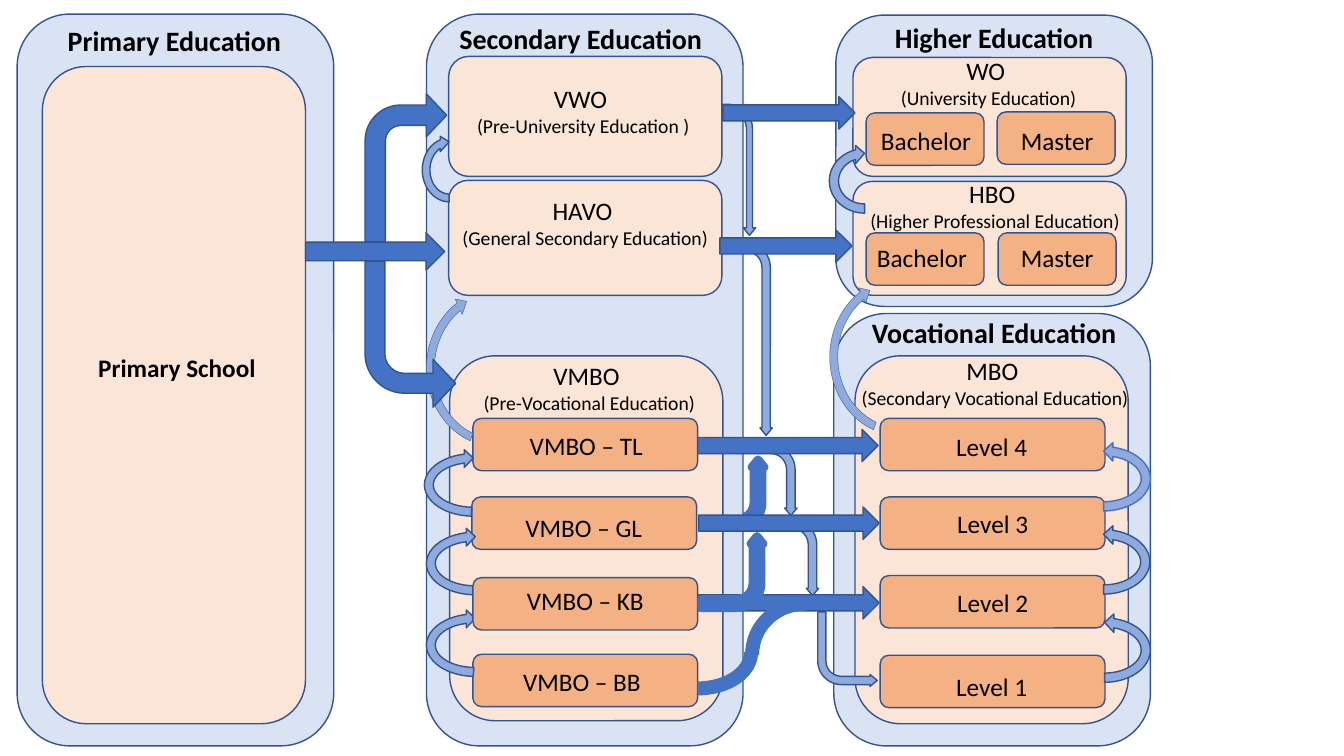
from dataclasses import dataclass
from typing import Iterable, Optional

from pptx import Presentation
from pptx.dml.color import RGBColor
from pptx.enum.shapes import MSO_SHAPE as Shp
from pptx.enum.text import MSO_AUTO_SIZE as AutoSize, PP_ALIGN as Align
from pptx.util import Emu, Pt

PX = 9144
FONT = "Calibri"
PANEL, CARD, UNIT = "DAE3F3", "FBE5D6", "F4B183"
MAIN, SWITCH, OUTLINE = "4472C4", "8FAADC", "325491"
BENT_ADJ = (0.138, 0.101, 0.122, 0.398)
LOOP_ADJ = (0.125, 11.423, 204.577, 110.305, 0.125)
SWEEP_ADJ = (0.054, 4.492, 197, 119.9, 0.057)


@dataclass(frozen=True)
class Block:
    """A filled preset shape, in px."""
    x: int
    y: int
    w: int
    h: int
    fill: Optional[str]
    shape: Shp = Shp.ROUNDED_RECTANGLE
    rot: int = 0
    flip: str = ""
    adj: tuple[float, ...] = ()
    line: str = OUTLINE
    weight: float = 1


@dataclass(frozen=True)
class Label:
    """A centred text box, in px, with smaller lines after the first."""
    text: str
    x: int
    y: int
    w: int
    size: int = 18
    bold: bool = False


def rgb(value: str) -> RGBColor:
    """Turn a hex string into a colour."""
    return RGBColor.from_string(value)


def px(*values: int) -> list[Emu]:
    """Turn px into EMU."""
    return [Emu(v * PX) for v in values]


def unit(x: int, y: int, w: int = 223) -> Block:
    """Describe an orange box for a level or degree."""
    return Block(x, y, w, 52, UNIT)


def straight(x: int, y: int, w: int, h: int = 32) -> Block:
    """Describe a main route to the right."""
    return Block(x, y, w, h, MAIN, Shp.RIGHT_ARROW)


def fork(y: int, w: int, h: int, flip: str, stem: float) -> Block:
    """Describe a branch of the route out of primary school."""
    return Block(362, y, w, h, MAIN, Shp.BENT_ARROW, 180, flip, (stem, 0.264, 0.25, 0.438))


def bent(x: int, y: int, w: int, h: int = 61, rot: int = 90, flip: str = "",
         stem: float = 0.138) -> Block:
    """Describe a thin bent arrow to a lower school."""
    return Block(x, y, w, h, SWITCH, Shp.BENT_ARROW, rot, flip, (stem, *BENT_ADJ[1:]))


def rise(x: int, y: int, w: int) -> Block:
    """Describe a thick arrow up to the next route."""
    return Block(x, y, w, 61, SWITCH, Shp.BENT_ARROW, 90, "h", BENT_ADJ, MAIN, 6)


def loop(x: int, y: int, w: int, h: int, flip: str = "",
         adj: tuple[float, ...] = (), line: str = OUTLINE, weight: float = 1) -> Block:
    """Describe a curved arrow up to the next level."""
    return Block(x, y, w, h, SWITCH, Shp.CIRCULAR_ARROW, 270, flip, adj, line, weight)


def arc(x: int, y: int, w: int, h: int, flip: str) -> Block:
    """Describe one half of the S-shaped route."""
    return Block(x, y, w, h, None, Shp.ARC, flip=flip, line=MAIN, weight=10)


def heading(text: str, x: int, y: int, w: int = 314) -> Label:
    """Describe the heading of a panel."""
    return Label(text, x, y, w, 20, True)


BLOCKS = [
    rise(694, 459, 67),
    Block(423, 14, 314, 726, PANEL),
    bent(725, 446, 70),
    bent(744, 523, 75),
    bent(654, 138, 130, stem=0.098),
    bent(640, 306, 191, stem=0.136),
    Block(827, 311, 314, 429, PANEL),
    Block(829, 15, 314, 289, PANEL),
    Block(17, 14, 314, 726, PANEL),
    Block(42, 66, 261, 652, CARD),
    Block(445, 56, 271, 119, CARD),
    Block(445, 179, 271, 114, CARD),
    Block(446, 353, 271, 362, CARD),
    Block(848, 353, 271, 365, CARD),
    Block(846, 180, 271, 113, CARD),
    Block(846, 57, 271, 118, CARD),
    *(unit(873, y) for y in (415, 493, 571, 650)),
    unit(469, 415),
    unit(468, 493),
    unit(469, 649),
    unit(859, 112, 117),
    unit(989, 111, 117),
    unit(859, 231, 117),
    unit(990, 231, 117),
    straight(717, 96, 131),
    loop(436, 587, 71, 106, adj=LOOP_ADJ),
    loop(1058, 424, 73, 102, "v", line=MAIN),
    loop(410, 138, 71, 61),
    loop(1058, 507, 73, 101, "v"),
    loop(1059, 595, 73, 100, "v"),
    loop(821, 140, 73, 79),
    loop(410, 291, 165, 148, adj=SWEEP_ADJ, weight=0.25),
    loop(810, 280, 165, 148, adj=SWEEP_ADJ, weight=0.25),
    loop(436, 506, 71, 106, adj=LOOP_ADJ),
    loop(434, 428, 71, 106, adj=LOOP_ADJ),
    straight(714, 228, 131),
    straight(692, 426, 179),
    straight(693, 503, 179),
    straight(693, 582, 179),
    fork(259, 90, 145, "h", 0.219),
    fork(93, 81, 147, "hv", 0.25),
    straight(303, 231, 138, 37),
    unit(469, 573),
    bent(811, 607, 59, 74, 180, "h"),
    rise(691, 537, 71),
    arc(639, 612, 106, 71, "v"),
    arc(746, 599, 104, 101, "h"),
]

LABELS = [
    heading("Primary Education", 16, 18),
    heading("Secondary Education", 424, 16, 304),
    heading("Higher Education", 829, 15),
    heading("Vocational Education", 829, 308),
    Label("Primary School", 45, 345, 261, bold=True),
    Label("VWO \n(Pre-University Education )", 444, 78, 269),
    Label("HAVO \n(General Secondary Education)", 445, 189, 271),
    Label("VMBO \n(Pre-Vocational Education)", 450, 353, 269),
    Label("VMBO – TL", 470, 422, 223),
    Label("VMBO – GL", 467, 503, 224),
    Label("VMBO – KB", 469, 576, 223),
    Label("VMBO – BB ", 468, 656, 224),
    Label("WO \n(University Education)", 845, 50, 271),
    Label("Bachelor", 860, 119, 117),
    Label("Master", 990, 119, 117),
    Label("HBO \n(Higher Professional Education)", 842, 172, 290),
    Label("Bachelor", 856, 235, 117),
    Label("Master", 991, 236, 115),
    Label("MBO \n(Secondary Vocational Education)", 842, 348, 290),
    Label("Level 4", 872, 423, 223),
    Label("Level 3", 873, 499, 223),
    Label("Level 2", 873, 578, 223),
    Label("Level 1", 872, 661, 223),
]


def draw_blocks(shapes, blocks: Iterable[Block]) -> None:
    """Draw shapes from back to front."""
    for b in blocks:
        sp = shapes.add_shape(b.shape, *px(b.x, b.y, b.w, b.h))
        sp.shadow.inherit = False
        sp.rotation = b.rot
        for axis in b.flip:
            sp.element.spPr.xfrm.set(f"flip{axis.upper()}", "1")
        for i, value in enumerate(b.adj):
            sp.adjustments[i] = value
        if b.fill is None:
            sp.fill.background()
        else:
            sp.fill.solid()
            sp.fill.fore_color.rgb = rgb(b.fill)
        sp.line.color.rgb = rgb(b.line)
        sp.line.width = Pt(b.weight)


def draw_labels(shapes, labels: Iterable[Label]) -> None:
    """Draw centred text boxes."""
    for label in labels:
        h = 64 if "\n" in label.text else 2 * label.size + 4
        tf = shapes.add_textbox(*px(label.x, label.y, label.w, h)).text_frame
        tf.word_wrap = True
        tf.auto_size = AutoSize.SHAPE_TO_FIT_TEXT
        tf.text = label.text
        for i, p in enumerate(tf.paragraphs):
            p.alignment = Align.CENTER
            font = p.runs[0].font
            font.name = FONT
            font.size = Pt(14 if i else label.size)
            font.bold = label.bold
            font.color.rgb = rgb("000000")


def main() -> None:
    """Build the school system slide."""
    prs = Presentation()
    prs.slide_width, prs.slide_height = px(1333, 750)
    s = prs.slides.add_slide(prs.slide_layouts[6])
    draw_blocks(s.shapes, BLOCKS)
    draw_labels(s.shapes, LABELS)
    prs.save("out.pptx")


if __name__ == "__main__":
    main()
